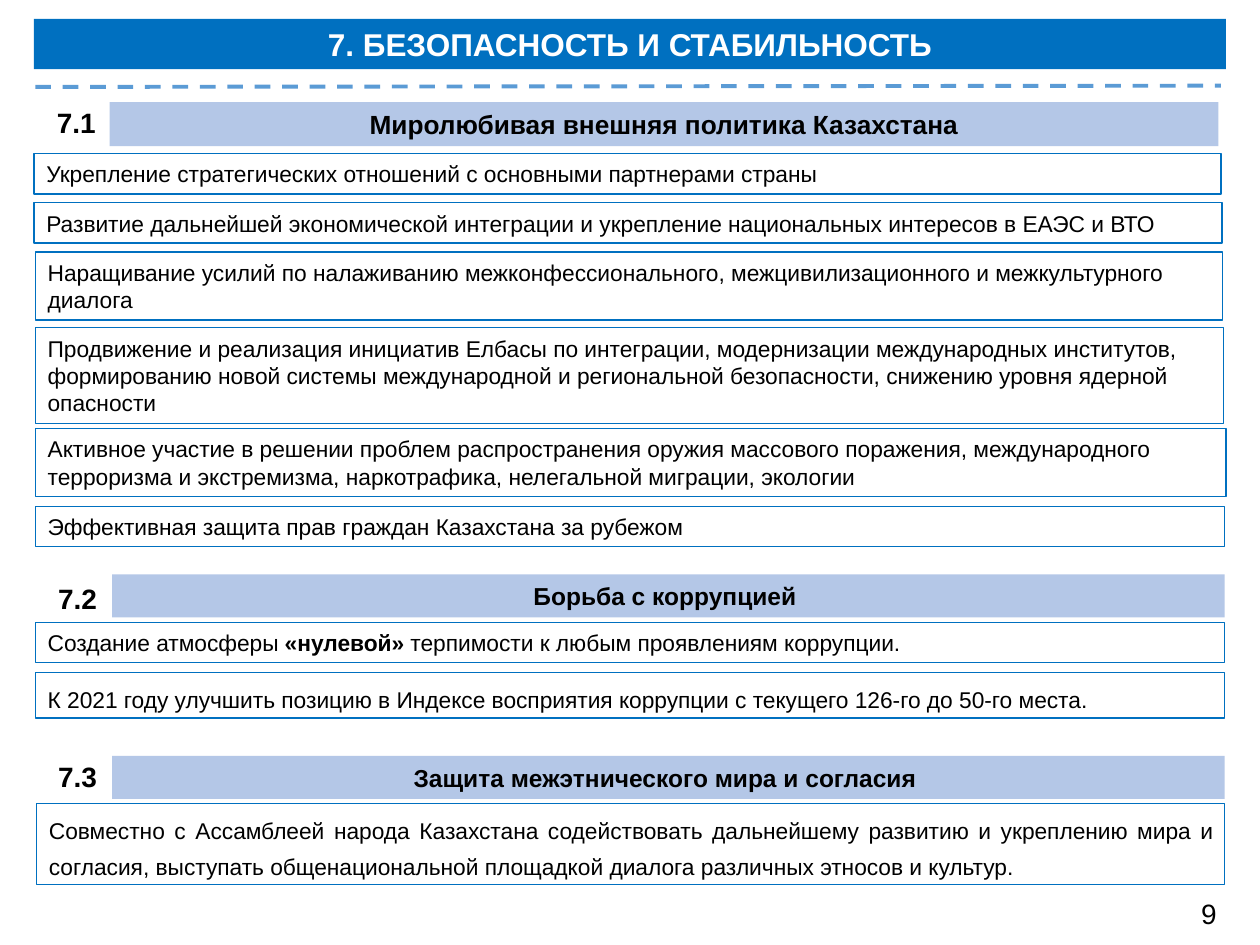
from lxml import etree
from pptx import Presentation
from pptx.dml.color import RGBColor
from pptx.enum.dml import MSO_LINE
from pptx.enum.shapes import MSO_CONNECTOR, MSO_SHAPE
from pptx.enum.text import MSO_ANCHOR, MSO_AUTO_SIZE, PP_ALIGN
from pptx.oxml.ns import qn
from pptx.util import Inches, Pt

COLORS = {"title": "0070C0", "heading": "B4C7E7", "border": "0070C0",
          "dash": "5B9BD5", "text": "000000", "white": "FFFFFF"}
FONT = "Arial"

TITLE = ("7. БЕЗОПАСНОСТЬ И СТАБИЛЬНОСТЬ", (0.27, 0.15, 9.46, 0.4))
PAGE_NUMBER = ("9", (9.32, 7.07))
LABEL_SIZE = (0.55, 0.37)
JUSTIFIED = {"alignment": PP_ALIGN.JUSTIFY, "line_spacing": 1.3}

# Each item: text runs as (text, bold), box, paragraph format
SECTIONS = [
    {"label": ("7.1", (0.33, 0.79)),
     "heading": ("Миролюбивая внешняя политика Казахстана", (0.87, 0.81, 8.8, 0.35), 15),
     "items": [
         ([("Укрепление стратегических отношений с основными партнерами страны", False)],
          (0.27, 1.22, 9.42, 0.32), {}),
         ([("Развитие дальнейшей экономической интеграции и укрепление национальных "
            "интересов в ЕАЭС и ВТО", False)],
          (0.27, 1.61, 9.43, 0.32), {}),
         ([("Наращивание усилий по налаживанию межконфессионального, "
            "межцивилизационного и межкультурного диалога", False)],
          (0.28, 2, 9.42, 0.54), {}),
         ([("Продвижение и реализация инициатив Елбасы по интеграции, модернизации "
            "международных институтов, формированию новой системы международной и "
            "региональной безопасности, снижению уровня ядерной опасности", False)],
          (0.28, 2.6, 9.43, 0.76), {}),
         ([("Активное участие в решении проблем распространения оружия массового "
            "поражения, международного терроризма и экстремизма, наркотрафика, "
            "нелегальной миграции, экологии", False)],
          (0.28, 3.4, 9.45, 0.54), {}),
         ([("Эффективная защита прав граждан Казахстана за рубежом", False)],
          (0.28, 4.02, 9.44, 0.32), {}),
     ]},
    {"label": ("7.2", (0.34, 4.57)),
     "heading": ("Борьба с коррупцией ", (0.89, 4.56, 8.83, 0.34), 14),
     "items": [
         ([("Создание атмосферы ", False), ("«нулевой»", True),
           (" терпимости к любым проявлениям коррупции.", False)],
          (0.28, 4.94, 9.44, 0.32), {}),
         ([("К 2021 году улучшить позицию в Индексе восприятия коррупции с текущего "
            "126-го до 50-го места.", False)],
          (0.28, 5.34, 9.44, 0.36), JUSTIFIED),
     ]},
    {"label": ("7.3", (0.34, 5.98)),
     "heading": ("Защита межэтнического мира и согласия ", (0.89, 6, 8.83, 0.34), 14),
     "items": [
         ([("Совместно с Ассамблеей народа Казахстана содействовать дальнейшему "
            "развитию и укреплению мира и согласия, выступать общенациональной "
            "площадкой диалога различных этносов и культур. ", False)],
          (0.29, 6.38, 9.43, 0.64), JUSTIFIED),
     ]},
]


def rgb(name):
    return RGBColor.from_string(COLORS[name])


def write(s, runs, size, color="text", anchor=MSO_ANCHOR.MIDDLE, **paragraph_format):
    tf = s.text_frame
    frame_format = {"word_wrap": True, "vertical_anchor": anchor,
                    "auto_size": MSO_AUTO_SIZE.SHAPE_TO_FIT_TEXT}
    for name, value in frame_format.items():
        setattr(tf, name, value)
    p = tf.paragraphs[0]
    for name, value in ({"alignment": PP_ALIGN.LEFT} | paragraph_format).items():
        setattr(p, name, value)
    for text, bold in runs:
        r = p.add_run()
        r.text = text
        for name, value in {"name": FONT, "size": Pt(size), "bold": bold}.items():
            setattr(r.font, name, value)
        r.font.color.rgb = rgb(color)


def add_box(shapes, box, fill=None):
    """Add a filled bar without a border, or a bordered box without a fill."""
    s = shapes.add_shape(MSO_SHAPE.RECTANGLE, *map(Inches, box))
    s.shadow.inherit = False
    if fill:
        s.fill.solid()
        s.fill.fore_color.rgb = rgb(fill)
        s.line.fill.background()
    else:
        s.fill.background()
        s.line.color.rgb = rgb("border")
        s.line.width = Pt(0.75)
    return s


def add_bar(shapes, text, box, size, fill, color="text"):
    write(add_box(shapes, box, fill), [(text, True)], size, color,
          alignment=PP_ALIGN.CENTER)


def add_label(shapes, text, position, bold=True):
    s = shapes.add_textbox(*map(Inches, position + LABEL_SIZE))
    write(s, [(text, bold)], 16, anchor=MSO_ANCHOR.TOP, alignment=PP_ALIGN.CENTER)


def add_dashed_rule(shapes):
    ends = map(Inches, (0.28, 0.69, 9.69, 0.68))
    rule = shapes.add_connector(MSO_CONNECTOR.STRAIGHT, *ends)
    rule.line.color.rgb = rgb("dash")
    rule.line.width = Pt(2.25)
    rule.line.dash_style = MSO_LINE.DASH
    etree.SubElement(rule._element.spPr, qn("a:effectLst"))


def main():
    prs = Presentation()
    prs.slide_width, prs.slide_height = Inches(10), Inches(7.5)
    shapes = prs.slides.add_slide(prs.slide_layouts[6]).shapes

    add_bar(shapes, *TITLE, 18, "title", "white")
    add_dashed_rule(shapes)
    for section in SECTIONS:
        add_label(shapes, *section["label"])
        add_bar(shapes, *section["heading"], "heading")
        for runs, box, paragraph_format in section["items"]:
            write(add_box(shapes, box), runs, 13, **paragraph_format)
    add_label(shapes, *PAGE_NUMBER, bold=False)
    prs.save("out.pptx")


if __name__ == "__main__":
    main()
